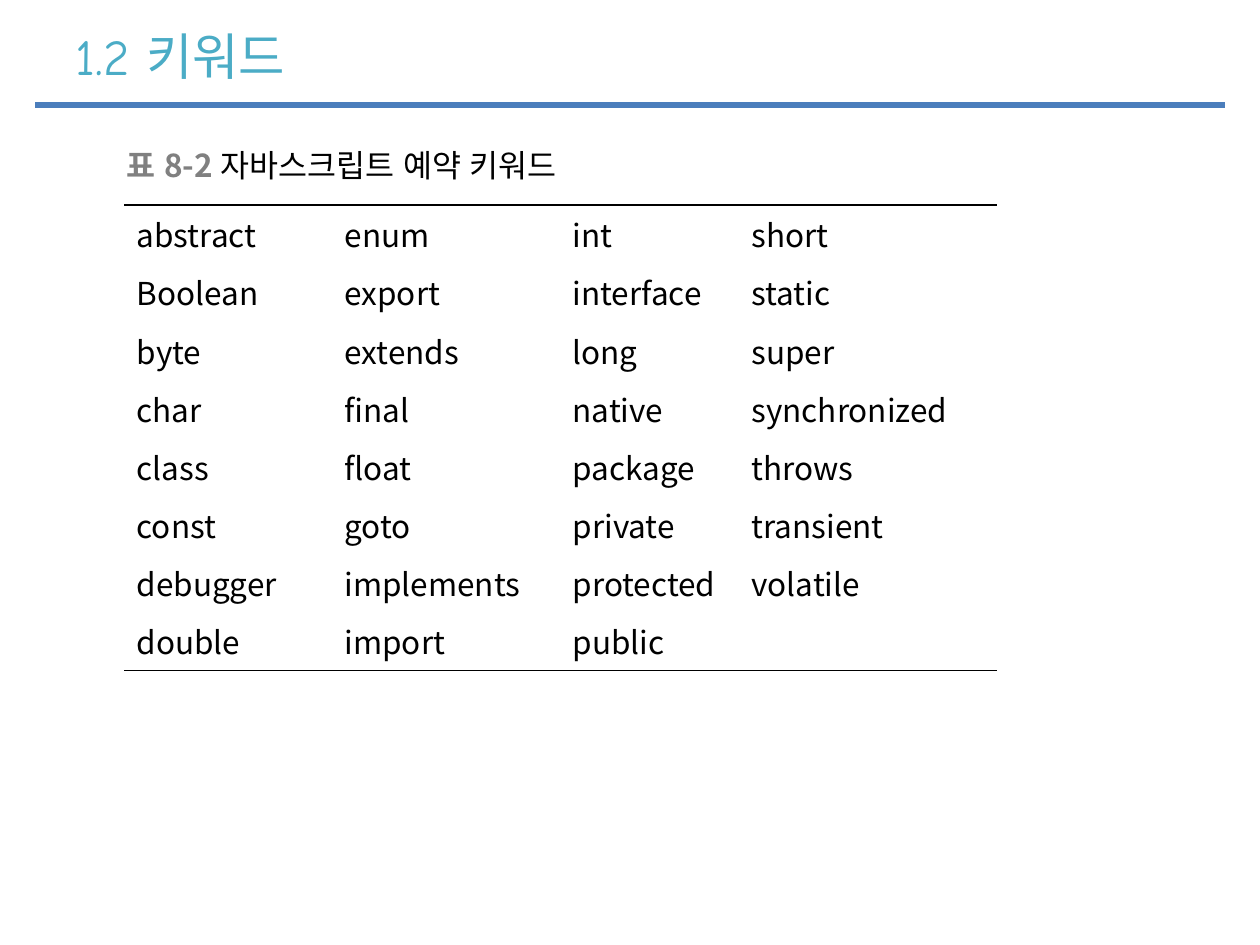
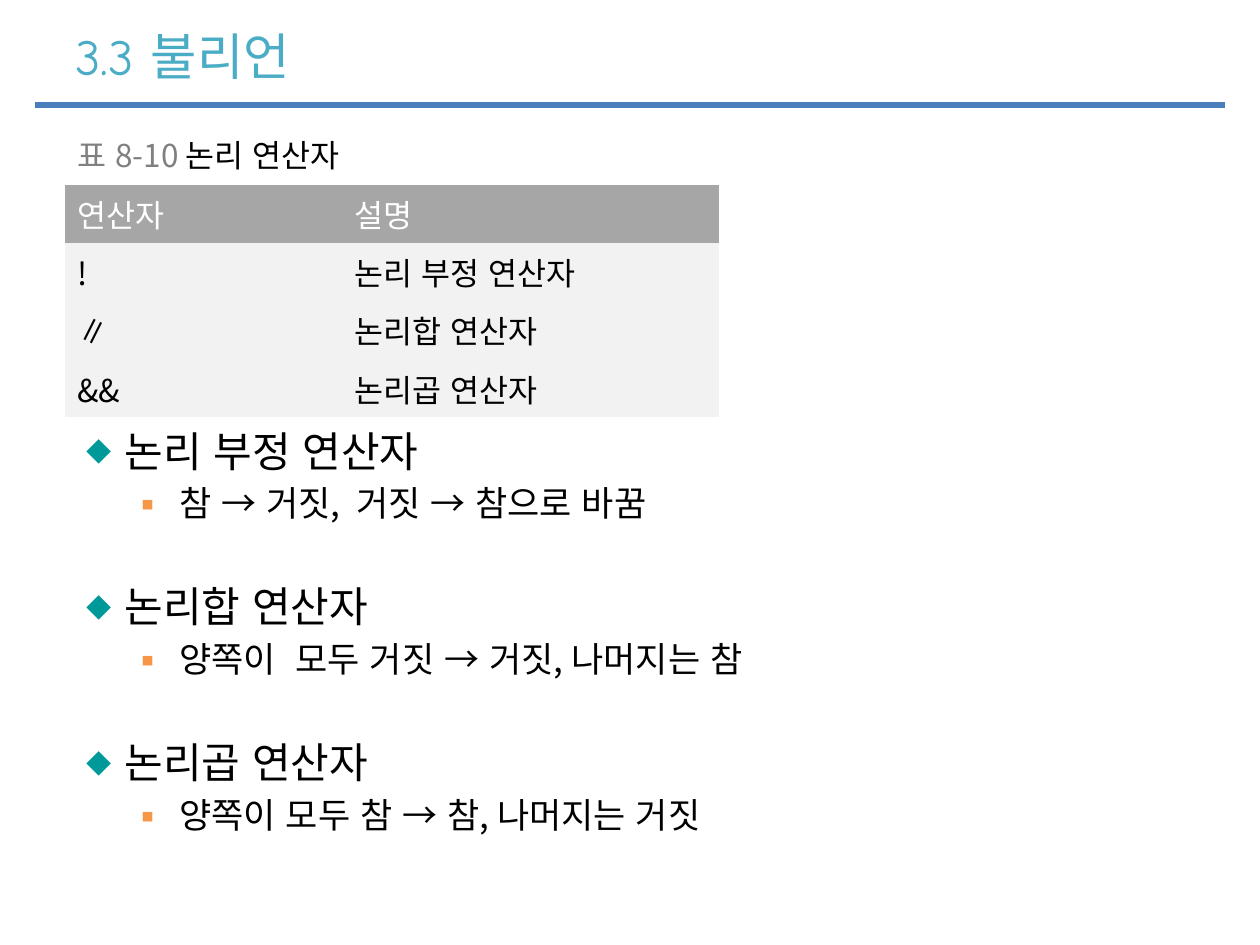
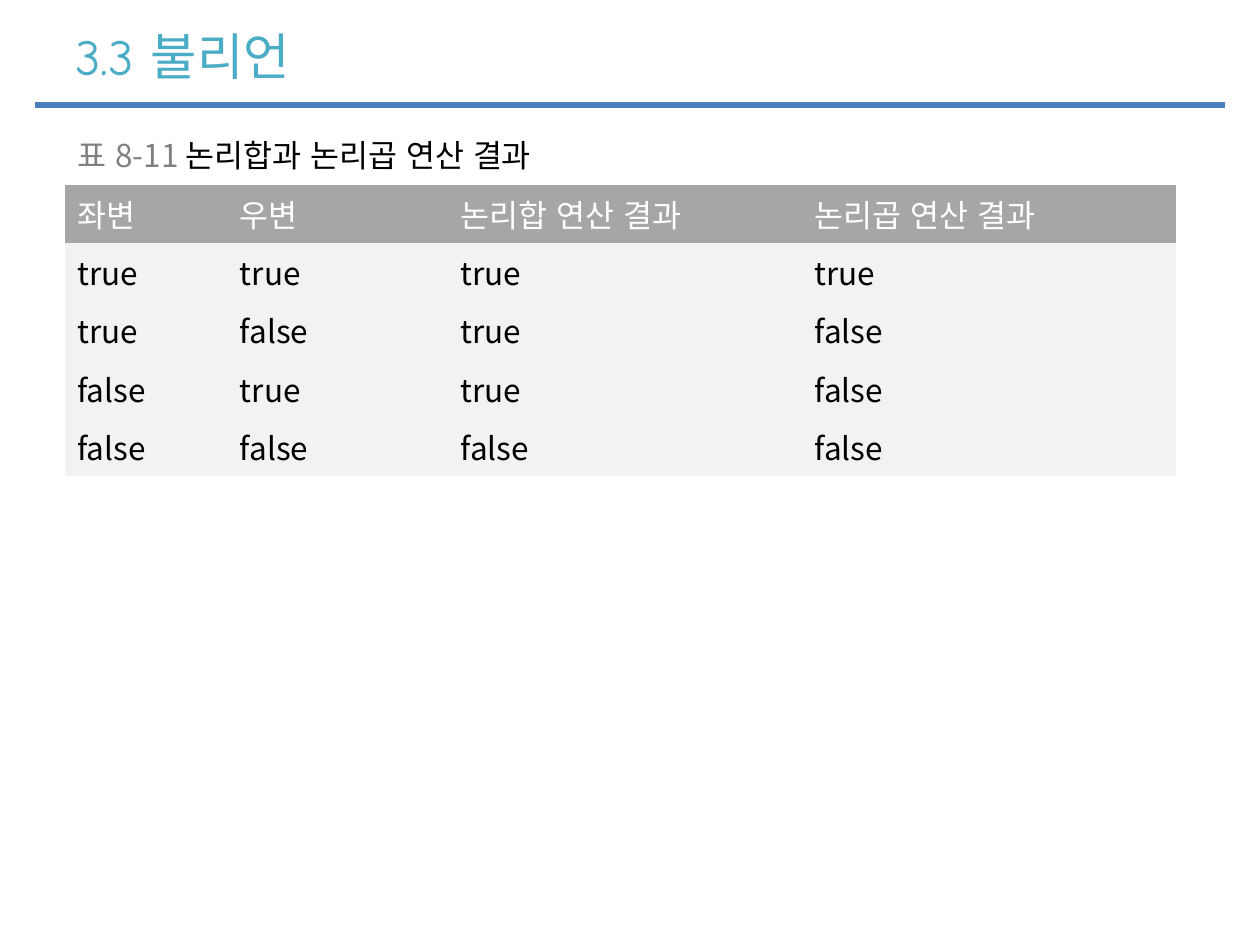
from dataclasses import dataclass
from typing import Optional

import pptx
import pptx.dml.color
import pptx.enum.lang
import pptx.enum.shapes
import pptx.enum.text
import pptx.oxml
import pptx.oxml.ns
import pptx.util
from pptx.dml.color import RGBColor

BLACK = RGBColor(0x00, 0x00, 0x00)
WHITE = RGBColor(0xFF, 0xFF, 0xFF)
GRAY = RGBColor(0x80, 0x80, 0x80)
HEADER_GRAY = RGBColor(0xA6, 0xA6, 0xA6)
BODY_GRAY = RGBColor(0xF2, 0xF2, 0xF2)
TITLE_BLUE = RGBColor(0x4B, 0xAC, 0xC6)
RULE_BLUE = RGBColor(0x4B, 0x7E, 0xBC)
TEAL = RGBColor(0x00, 0x99, 0x99)
ORANGE = RGBColor(0xF7, 0x96, 0x46)

TITLE_FONT = "Comic Neue"
BODY_FONT = "Noto Sans CJK KR"
PLAIN_TABLE_STYLE = "{2D5ABB26-0587-4C30-8999-92F81FD0307C}"

SLIDE_WIDTH = pptx.util.Inches(10)
SLIDE_HEIGHT = pptx.util.Inches(7.5)
COLUMNS, ROWS = 100, 75
TABLE_ROW = 4.62


def col(count: float) -> int:
    return round(SLIDE_WIDTH * count / COLUMNS)


def row(count: float) -> int:
    return round(SLIDE_HEIGHT * count / ROWS)


@dataclass(frozen=True)
class Caption:
    left: float
    top: float
    width: float
    number: str
    subject: str
    bold: bool = False


@dataclass(frozen=True)
class Grid:
    left: float
    top: float
    widths: tuple[float, ...]
    lines: tuple[tuple[str, ...], ...]
    shaded: bool = True


@dataclass(frozen=True)
class Level:
    bullet: str
    bullet_percent: int
    color: RGBColor
    indent: float
    hanging: float
    size: float
    space_before: float


@dataclass(frozen=True)
class Page:
    title: str
    caption: Caption
    grid: Grid
    points: tuple[tuple[str, str], ...] = ()


HEADING = Level("◆", 60, TEAL, 3.8, 3.05, 24, 35.5)
DETAIL = Level("▪", 100, ORANGE, 8.15, 3.9, 20, 6)

PAGES = (
    Page(
        "1.2 키워드",
        Caption(9.05, 10.7, 66.7, "표 8-2 ", "자바스크립트 예약 키워드", bold=True),
        Grid(9.85, 16.25, (16.5, 18.1, 14.2, 20.5), (
            ("abstract", "enum", "int", "short"),
            ("Boolean", "export", "interface", "static"),
            ("byte", "extends", "long", "super"),
            ("char", "final", "native", "synchronized"),
            ("class", "float", "package", "throws"),
            ("const", "goto", "private", "transient"),
            ("debugger", "implements", "protected", "volatile"),
            ("double", "import", "public", ""),
        ), shaded=False),
    ),
    Page(
        "3.3 불리언",
        Caption(5.15, 9.9, 40.9, "표 8-10 ", "논리 연산자"),
        Grid(5.15, 14.65, (22, 29.9), (
            ("연산자", "설명"),
            ("!", "논리 부정 연산자"),
            ("∥", "논리합 연산자"),
            ("&&", "논리곱 연산자"),
        )),
        (
            ("논리 부정 연산자", "참 → 거짓,  거짓 → 참으로 바꿈"),
            ("논리합 연산자", "양쪽이  모두 거짓 → 거짓, 나머지는 참"),
            ("논리곱 연산자", "양쪽이 모두 참 → 참, 나머지는 거짓"),
        ),
    ),
    Page(
        "3.3 불리언",
        Caption(5.15, 9.9, 52, "표 8-11 ", "논리합과 논리곱 연산 결과"),
        Grid(5.15, 14.65, (12.9, 17.5, 28.1, 29.7), (
            ("좌변", "우변", "논리합 연산 결과", "논리곱 연산 결과"),
            ("true", "true", "true", "true"),
            ("true", "false", "true", "false"),
            ("false", "true", "true", "false"),
            ("false", "false", "false", "false"),
        )),
    ),
)


def add_run(paragraph, text: str, size: float, color: RGBColor,
            font: str = BODY_FONT, bold: bool = False) -> None:
    run = paragraph.add_run()
    run.text = text
    run.font.size = pptx.util.Pt(size)
    run.font.bold = bold
    run.font.color.rgb = color
    run.font.name = font
    run.font.language_id = pptx.enum.lang.MSO_LANGUAGE_ID.KOREAN
    run.font._element.set("kern", "0")
    east_asian = pptx.oxml.parse_xml(
        f'<a:ea {pptx.oxml.ns.nsdecls("a")} typeface="{BODY_FONT}"/>')
    run.font._element.find(pptx.oxml.ns.qn("a:latin")).addnext(east_asian)


def add_text_frame(slide, left: float, top: float, width: float, height: float):
    frame = slide.shapes.add_textbox(col(left), row(top), col(width), row(height)).text_frame
    frame.word_wrap = True
    return frame


def add_title(slide, title: str) -> None:
    """Draw the title and the rule below it."""
    rule = slide.shapes.add_connector(
        pptx.enum.shapes.MSO_CONNECTOR.STRAIGHT, col(2.8), row(8.35), col(97.2), row(8.35))
    rule.line.color.rgb = RULE_BLUE
    rule.line.width = pptx.util.Pt(3.5)
    rule._element.spPr.append(
        pptx.oxml.parse_xml(f'<a:effectLst {pptx.oxml.ns.nsdecls("a")}/>'))
    frame = add_text_frame(slide, 5, 1.22, 90, 6.3)
    frame.vertical_anchor = pptx.enum.text.MSO_ANCHOR.MIDDLE
    add_run(frame.paragraphs[0], title, 28.8, TITLE_BLUE, TITLE_FONT)


def add_plain_table(slide, left: float, top: float, widths: tuple[float, ...], line_count: int):
    table = slide.shapes.add_table(
        line_count, len(widths), col(left), row(top),
        col(sum(widths)), row(TABLE_ROW * line_count)).table
    table.first_row = False
    table.horz_banding = False
    table._tbl.tblPr.find(pptx.oxml.ns.qn("a:tableStyleId")).text = PLAIN_TABLE_STYLE
    for column, width in zip(table.columns, widths):
        column.width = col(width)
    for line in table.rows:
        line.height = row(TABLE_ROW)
    return table


def add_caption(slide, caption: Caption) -> None:
    table = add_plain_table(slide, caption.left, caption.top, (caption.width,), 1)
    cell = table.cell(0, 0)
    cell.fill.solid()
    cell.fill.fore_color.rgb = WHITE
    paragraph = cell.text_frame.paragraphs[0]
    add_run(paragraph, caption.number, 18, GRAY, bold=caption.bold)
    add_run(paragraph, caption.subject, 18, BLACK)


def add_border(cell, side: str) -> None:
    border = pptx.oxml.parse_xml(
        f'<a:ln{side} {pptx.oxml.ns.nsdecls("a")} w="{pptx.util.Pt(1)}">'
        f'<a:solidFill><a:srgbClr val="{BLACK}"/></a:solidFill></a:ln{side}>')
    cell._tc.get_or_add_tcPr().insert(0, border)


def add_grid(slide, grid: Grid) -> None:
    """Draw a shaded table with a header, or an open one ruled above and below."""
    table = add_plain_table(slide, grid.left, grid.top, grid.widths, len(grid.lines))
    last = len(grid.lines) - 1
    for line_index, line in enumerate(grid.lines):
        is_header = grid.shaded and line_index == 0
        for column_index, word in enumerate(line):
            cell = table.cell(line_index, column_index)
            if grid.shaded:
                cell.fill.solid()
                cell.fill.fore_color.rgb = HEADER_GRAY if is_header else BODY_GRAY
            else:
                cell.fill.background()
                if line_index == 0:
                    add_border(cell, "T")
                elif line_index == last:
                    add_border(cell, "B")
            if word:
                add_run(cell.text_frame.paragraphs[0], word, 18, WHITE if is_header else BLACK)


def add_point(frame, text: str, level: Level, previous: Optional[Level]) -> None:
    paragraph = frame.add_paragraph() if previous else frame.paragraphs[0]
    properties = paragraph._p.get_or_add_pPr()
    properties.set("marL", str(col(level.indent)))
    properties.set("indent", str(-col(level.hanging)))
    namespace = pptx.oxml.ns.nsdecls("a")
    for bullet_part in (
        f'<a:buClr {namespace}><a:srgbClr val="{level.color}"/></a:buClr>',
        f'<a:buSzPct {namespace} val="{level.bullet_percent * 1000}"/>',
        f'<a:buFont {namespace} typeface="{BODY_FONT}"/>',
        f'<a:buChar {namespace} char="{level.bullet}"/>',
    ):
        properties.append(pptx.oxml.parse_xml(bullet_part))
    paragraph.level = 1 if level is DETAIL else 0
    paragraph.line_spacing = 0.9
    if previous:
        paragraph.space_before = pptx.util.Pt(level.space_before)
    add_run(paragraph, text, level.size, BLACK)


def add_points(slide, points: tuple[tuple[str, str], ...]) -> None:
    frame = add_text_frame(slide, 5.1, 33.7, 92.1, 39.2)
    previous = None
    for point in points:
        for text, level in zip(point, (HEADING, DETAIL)):
            add_point(frame, text, level, previous)
            previous = level


def main() -> None:
    deck = pptx.Presentation()
    deck.slide_width = SLIDE_WIDTH
    deck.slide_height = SLIDE_HEIGHT
    for page in PAGES:
        slide = deck.slides.add_slide(deck.slide_layouts[6])
        add_title(slide, page.title)
        if page.points:
            add_points(slide, page.points)
        add_grid(slide, page.grid)
        add_caption(slide, page.caption)
    deck.save("out.pptx")


if __name__ == "__main__":
    main()
